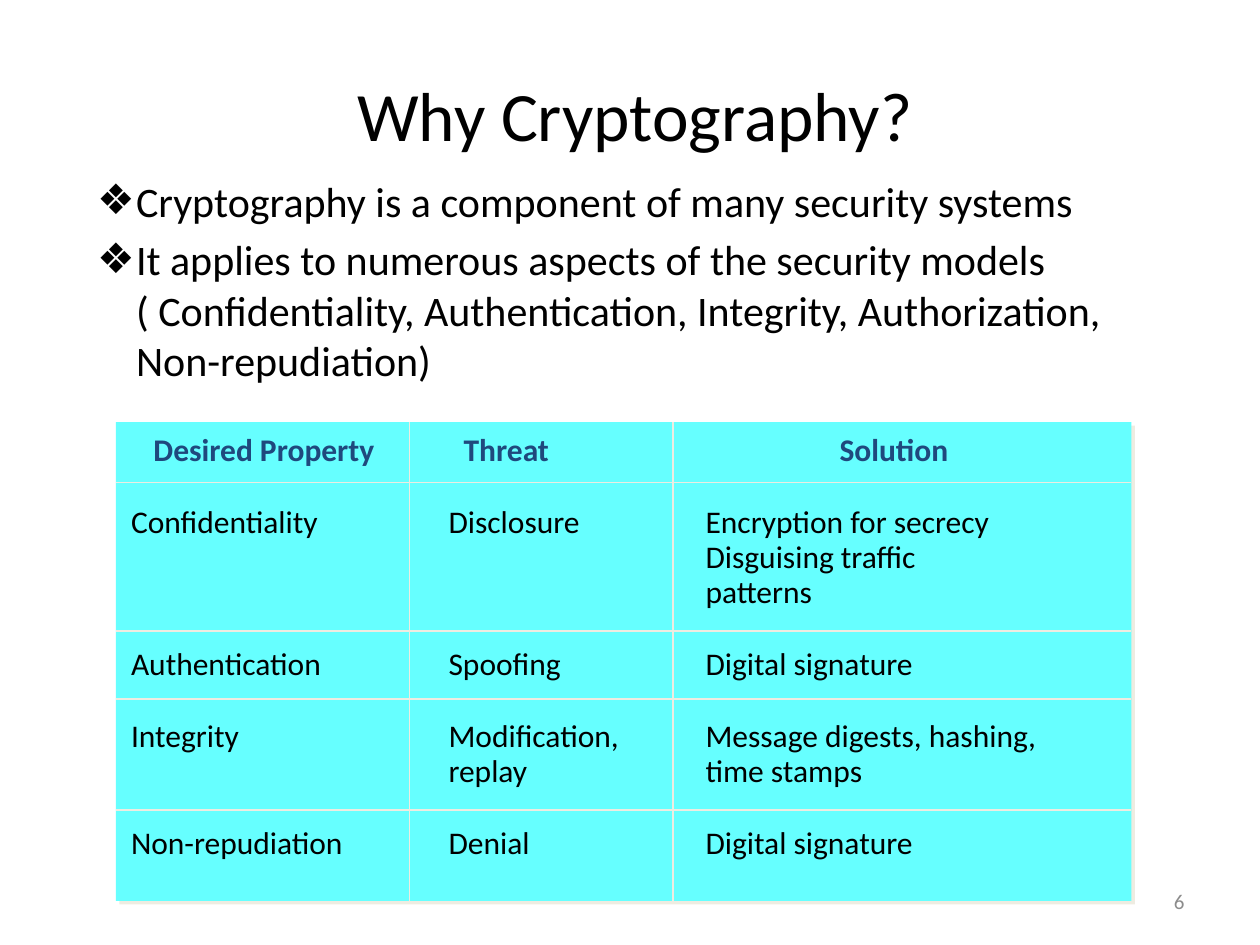
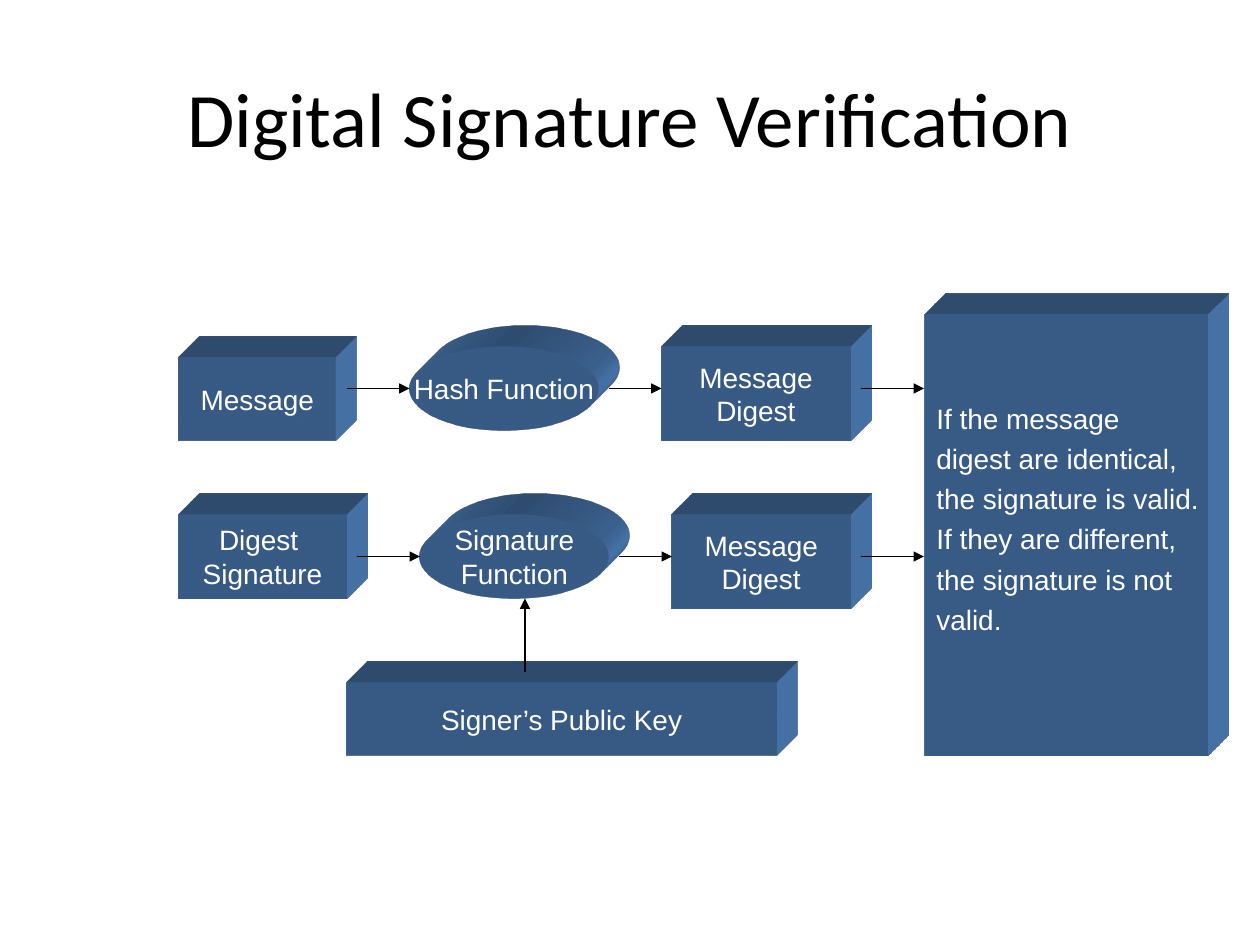
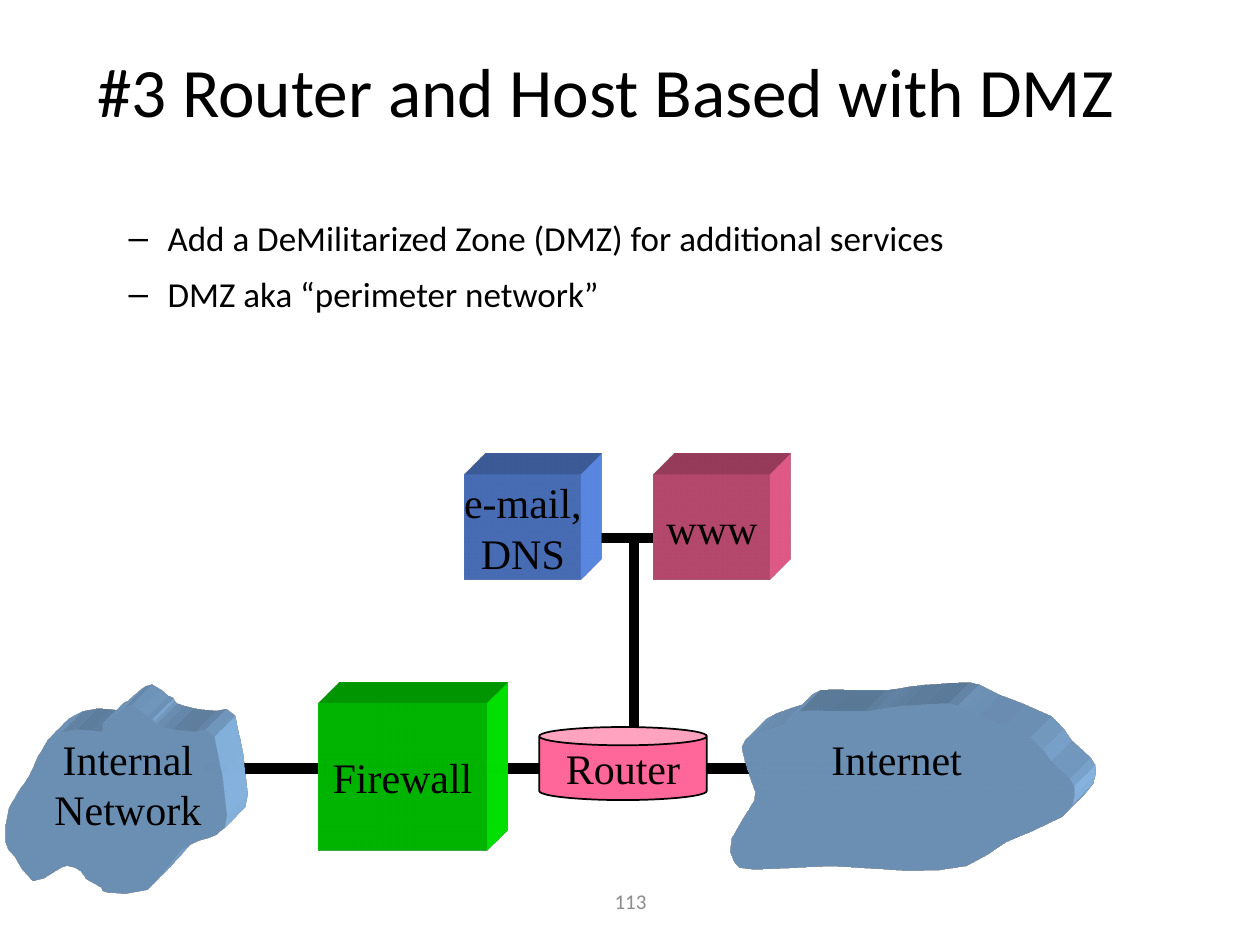
from lxml import etree
from pptx import Presentation
from pptx.dml.color import RGBColor
from pptx.enum.shapes import MSO_CONNECTOR, MSO_SHAPE
from pptx.enum.text import MSO_ANCHOR, MSO_AUTO_SIZE, PP_ALIGN
from pptx.oxml import parse_xml
from pptx.oxml.ns import nsdecls, qn
from pptx.util import Inches, Pt

COLORS = {
    "text": "000000", "number": "8C8C8C", "white": "FFFFFF",
    "table": "66FFFF", "rule": "EEECE1", "heading": "1F497D",
    "step": "4F81BD", "cloud": "99CCFF", "firewall": "00FF00",
    "pink": "FF6699", "mail": "6699FF",
}
HEADING = {"name": "Calibri", "size": Pt(39.6), "color": "text"}
CELL = {"name": "Calibri", "size": Pt(18), "color": "text"}
CELL_HEAD = {**CELL, "color": "heading", "bold": True}
NUMBER = {"name": "Calibri", "size": Pt(12), "color": "number"}
STEP = {"name": "Arial", "size": Pt(16), "color": "white"}
NODE = {"name": "Times New Roman", "size": Pt(24), "color": "text"}
CENTER = {"alignment": PP_ALIGN.CENTER}
LEFT = {"alignment": PP_ALIGN.LEFT}


def rgb(color):
    return RGBColor.from_string(COLORS[color])


def apply(target, formats):
    for attribute, value in formats.items():
        setattr(target, attribute, value)


def write(frame, text, font, paragraph_format=CENTER, **frame_format):
    """Fill a text frame: newlines part paragraphs, vertical tabs part lines."""
    frame.text = text
    apply(frame, frame_format)
    for paragraph in frame.paragraphs:
        apply(paragraph, paragraph_format)
        for run in paragraph.runs:
            apply(run.font, {k: v for k, v in font.items() if k != "color"})
            run.font.color.rgb = rgb(font["color"])


def place(shape, box):
    apply(shape, dict(zip(("left", "top", "width", "height"), map(Inches, box))))


def add_title(slide, text, box, font=HEADING, paragraph_format=CENTER):
    place(slide.shapes.title, box)
    write(slide.shapes.title.text_frame, text, font, paragraph_format,
          auto_size=MSO_AUTO_SIZE.NONE, vertical_anchor=MSO_ANCHOR.MIDDLE)


def add_bullets(slide, text, box, bullet, size, after=0):
    body = slide.placeholders[1]
    place(body, box)
    frame = body.text_frame
    write(frame, text, {"name": "Calibri", "size": Pt(size), "color": "text"},
          {"level": 1, "space_after": Pt(after), "space_before": Pt(size * 0.2)},
          auto_size=MSO_AUTO_SIZE.NONE, vertical_anchor=MSO_ANCHOR.TOP)
    frame.paragraphs[0].space_before = Pt(0)
    for paragraph in frame.paragraphs:
        properties = paragraph._p.get_or_add_pPr()
        properties.set("marL", str(Inches(0.81)))
        properties.set("indent", str(Inches(-0.31)))
        etree.SubElement(properties, qn("a:buChar")).set("char", bullet)


def add_label(slide, text, box, font=NODE, paragraph_format=CENTER, **frame_format):
    label = slide.shapes.add_textbox(*map(Inches, box))
    write(label.text_frame, text, font, paragraph_format, **frame_format)


def add_number(slide, text, box, alignment):
    add_label(slide, text, box, NUMBER, {"alignment": alignment},
              word_wrap=True, vertical_anchor=MSO_ANCHOR.MIDDLE)


def paint(shape, color):
    shape.shadow.inherit = False
    shape.fill.solid()
    shape.fill.fore_color.rgb = rgb(color)
    shape.line.fill.background()


def extrude(shape, color):
    """Give a shape depth towards the top right."""
    ns = nsdecls("a")
    scene = (f'<a:scene3d {ns}><a:camera prst="legacyObliqueTopRight"/>'
             '<a:lightRig rig="legacyFlat3" dir="b"/></a:scene3d>')
    solid = (f'<a:sp3d {ns} extrusionH="430200" prstMaterial="legacyMatte">'
             '<a:bevelT w="13500" h="13500" prst="angle"/>'
             '<a:bevelB w="13500" h="13500" prst="angle"/>'
             f'<a:extrusionClr><a:srgbClr val="{COLORS[color]}"/></a:extrusionClr>'
             '</a:sp3d>')
    for part in (scene, solid):
        shape._element.spPr.append(parse_xml(part))


def add_node(slide, text, box, color, font=NODE, kind=MSO_SHAPE.RECTANGLE,
             paragraph_format=CENTER, deep=True):
    node = slide.shapes.add_shape(kind, *map(Inches, box))
    paint(node, color)
    if deep:
        extrude(node, color)
    write(node.text_frame, text, font, paragraph_format,
          word_wrap=False, vertical_anchor=MSO_ANCHOR.MIDDLE)
    return node


def add_line(slide, start, end, width, color="text", arrow=False):
    line = slide.shapes.add_connector(
        MSO_CONNECTOR.STRAIGHT, *map(Inches, (*start, *end)))
    line.line.color.rgb = rgb(color)
    line.line.width = Pt(width)
    etree.SubElement(line._element.spPr, qn("a:effectLst"))
    if arrow:
        tail = etree.SubElement(line.line._get_or_add_ln(), qn("a:tailEnd"))
        tail.set("type", "triangle")


# Slide with the table of security properties

PROPERTIES = [
    ("Desired Property", "Threat", "Solution"),
    ("Confidentiality", "Disclosure",
     "Encryption for secrecy\nDisguising traffic\vpatterns"),
    ("Authentication", "Spoofing", "Digital signature"),
    ("Integrity", "Modification,\vreplay",
     "Message digests, hashing,\vtime stamps"),
    ("Non-repudiation", "Denial", "Digital signature"),
]
COLUMN_WIDTHS = (2.33, 2.09, 3.64)
ROW_HEIGHTS = (0.48, 1.18, 0.54, 0.88, 0.72)
ROW_INSETS = (0.1, 0.19, 0.14, 0.17, 0.14)
HEAD_INSETS = (0.02, 0.43, 0)
BODY_INSETS = (0.12, 0.31, 0.26)


def add_table_panel(slide, box):
    """Panel behind the table, with a soft edge at the lower right."""
    panel = slide.shapes.add_shape(MSO_SHAPE.RECTANGLE, *map(Inches, box))
    paint(panel, "table")
    effects = panel._element.spPr.find(qn("a:effectLst"))
    effects.append(parse_xml(
        f'<a:outerShdw {nsdecls("a")} dist="{Pt(2.8)}" dir="2700000" algn="ctr" '
        f'rotWithShape="0"><a:srgbClr val="{COLORS["rule"]}"/></a:outerShdw>'))


def add_rules(slide, left, top, width, height):
    x, y = left, top
    for column_width in COLUMN_WIDTHS[:-1]:
        x += column_width
        add_line(slide, (x, top), (x, top + height), 1, "rule")
    for row_height in ROW_HEIGHTS[:-1]:
        y += row_height
        add_line(slide, (left, y), (left + width, y), 1, "rule")


def add_properties_table(slide, left, top):
    box = (left, top, sum(COLUMN_WIDTHS), sum(ROW_HEIGHTS))
    add_table_panel(slide, box)
    last_column = len(COLUMN_WIDTHS) - 1
    table = slide.shapes.add_table(
        len(ROW_HEIGHTS), len(COLUMN_WIDTHS), *map(Inches, box)).table
    apply(table, {"first_row": False, "horz_banding": False})
    for column, width in zip(table.columns, COLUMN_WIDTHS):
        column.width = Inches(width)
    for r, words in enumerate(PROPERTIES):
        table.rows[r].height = Inches(ROW_HEIGHTS[r])
        for c, text in enumerate(words):
            cell = table.cell(r, c)
            head = r == 0
            apply(cell, {
                "margin_left": Inches((HEAD_INSETS if head else BODY_INSETS)[c]),
                "margin_top": Inches(ROW_INSETS[r]),
                "margin_right": Inches(0.13 if head and c == last_column else 0),
                "margin_bottom": 0,
                "vertical_anchor": MSO_ANCHOR.TOP,
            })
            alignment = CENTER if head and c != 1 else LEFT
            write(cell.text_frame, text, CELL_HEAD if head else CELL,
                  {**alignment, "line_spacing": Pt(20)})
            for side in "LRTB":
                border = etree.SubElement(
                    cell._tc.get_or_add_tcPr(), qn(f"a:ln{side}"))
                etree.SubElement(border, qn("a:noFill"))
            cell.fill.solid()
            cell.fill.fore_color.rgb = rgb("table")
    add_rules(slide, *box)


def build_why_cryptography(deck):
    slide = deck.slides.add_slide(deck.slide_layouts[1])
    add_title(slide, "Why Cryptography?", (0.58, 0.59, 8.92, 0.62))
    add_bullets(slide, "Cryptography is a component of many security systems\n"
                "It applies to numerous aspects of the security models\v"
                "( Confidentiality, Authentication, Integrity, Authorization, "
                "Non-repudiation)", (0.17, 1.34, 9.25, 1.75), "❖", 24)
    add_properties_table(slide, 0.92, 3.35)
    add_number(slide, "6", (7.17, 6.95, 2.33, 0.4), PP_ALIGN.RIGHT)


# Slide with the verification flow

FLOW_UNIT = 1 / 12  # the flow lies on a grid of twelfths of an inch


def add_verification_flow(slide, left, top):
    def at(x, y):
        return left + x * FLOW_UNIT, top + y * FLOW_UNIT

    def box(x, y, width, height):
        return *at(x, y), width * FLOW_UNIT, height * FLOW_UNIT

    rect, oval = MSO_SHAPE.RECTANGLE, MSO_SHAPE.OVAL
    steps = [
        ("Message", rect, (0, 4, 15, 8)),
        ("Hash Function", oval, (22, 3, 18, 8)),
        ("Message\nDigest", rect, (46, 3, 18, 9)),
        ("Digest \nSignature", rect, (0, 19, 16, 8)),
        ("Signature\nFunction", oval, (23, 19, 18, 8)),
        ("Message\nDigest", rect, (47, 19, 17, 9)),
        ("Signer’s Public Key", rect, (16, 35, 41, 7)),
    ]
    for text, kind, cells in steps:
        add_node(slide, text, box(*cells), "step", STEP, kind)

    # Verdict
    verdict = add_node(
        slide, "If the message\ndigest are identical,\nthe signature is valid.\n"
        "If they are different,\nthe signature is not\nvalid.",
        box(71, 0, 27, 42), "step", STEP,
        paragraph_format={**LEFT, "line_spacing": 1.2})
    verdict.text_frame.margin_bottom = Inches(0.37)

    # Arrows: a height, then the start and end of each arrow at that height
    rows = {7: [(16, 22), (41, 46), (65, 71)],
            23: [(17, 23), (42, 47), (65, 71)]}
    for y, spans in rows.items():
        for start, end in spans:
            add_line(slide, at(start, y), at(end, y), 0.75, arrow=True)
    add_line(slide, at(33, 34), at(33, 27), 0.75, arrow=True)


def build_signature_verification(deck):
    slide = deck.slides.add_slide(deck.slide_layouts[5])
    add_title(slide, "Digital Signature Verification", (0.5, 0.3, 9, 1.25),
              {**HEADING, "size": Pt(44)})
    add_verification_flow(slide, 17 * FLOW_UNIT, 2.5)


# Slide with the network

# Cloud outlines, in hundredths of an inch from the corner of each cloud
INTERNET = [
    (108, 6), (81, 6), (56, 6), (46, 13), (43, 17), (20, 25), (10, 35), (18, 63),
    (20, 77), (2, 107), (4, 126), (20, 132), (81, 129), (142, 133), (188, 129),
    (220, 110), (264, 90), (274, 72), (270, 60), (255, 46), (239, 27), (198, 10),
    (186, 4), (174, 0), (138, 2), (123, 4),
]
INTERNAL = [
    (81, 21), (61, 19), (38, 27), (23, 56), (7, 81), (4, 108), (11, 119),
    (26, 139), (44, 131), (53, 127), (64, 131), (68, 137), (80, 144), (85, 148),
    (117, 146), (144, 114), (168, 104), (174, 100), (180, 87), (170, 25),
    (155, 21), (137, 19), (124, 15), (121, 11), (117, 9), (104, 0), (94, 5),
    (85, 13), (81, 15),
]


def round_outline(points):
    """Add the midpoint of a Catmull-Rom spline after each point."""
    outline = []
    for i, point in enumerate(points):
        corners = [points[(i + shift) % len(points)] for shift in (-1, 0, 1, 2)]
        middle = [(9 * (b + c) - a - d) / 16 for a, b, c, d in zip(*corners)]
        outline += [point, middle]
    return outline


def add_cloud(slide, outline, left, top):
    points = [(10 * x + 1000 * left, 10 * y + 1000 * top)
              for x, y in round_outline(outline)]
    builder = slide.shapes.build_freeform(*points[0], scale=Inches(1) / 1000)
    builder.add_line_segments(points[1:], close=True)
    cloud = builder.convert_to_shape()
    paint(cloud, "cloud")
    extrude(cloud, "cloud")


def add_network(slide, left, top):
    # Cables
    for start, end in [((4.75, 0.5), (5.58, 0.5)),
                       ((5.03, 2.08), (5.03, 0.5)),
                       ((1.61, 2.33), (7.19, 2.33))]:
        add_line(slide, (left + start[0], top + start[1]),
                 (left + end[0], top + end[1]), 6)

    # Clouds and hosts
    add_cloud(slide, INTERNET, left + 5.79, top + 1.81)
    add_cloud(slide, INTERNAL, left, top + 1.83)
    for text, color, (x, y, width, height) in [
            ("Firewall", "firewall", (2.53, 1.81, 1.33, 1.17)),
            ("e-mail,\nDNS", "mail", (3.69, 0, 0.92, 0.83)),
            ("www", "pink", (5.19, 0, 0.92, 0.83))]:
        add_node(slide, text, (left + x, top + y, width, height), color)
    router = add_node(slide, "Router", (left + 4.28, top + 2, 1.33, 0.58), "pink",
                      kind=MSO_SHAPE.CAN, deep=False)
    router.line.color.rgb = rgb("text")
    router.line.width = Pt(1)

    # Cloud names
    add_label(slide, "Internal\nNetwork", (left + 0.33, top + 2, 1.37, 0.9),
              word_wrap=False)
    add_label(slide, "Internet", (left + 6.5, top + 2, 1.24, 0.5),
              paragraph_format=LEFT, word_wrap=False)


def build_dmz(deck):
    slide = deck.slides.add_slide(deck.slide_layouts[1])
    add_title(slide, "#3 Router and Host Based with DMZ", (0.67, 0.33, 8.83, 0.87),
              paragraph_format={**LEFT, "line_spacing": 0.85})
    add_bullets(slide, "Add a DeMilitarized Zone (DMZ) for additional services\n"
                "DMZ aka “perimeter network”", (0.42, 1.67, 8.92, 1.5), "–", 20, 4)
    add_network(slide, 0, 3.77)
    add_number(slide, "113", (3.42, 6.95, 3.17, 0.4), PP_ALIGN.CENTER)


def main():
    deck = Presentation()
    apply(deck, {"slide_width": Inches(10), "slide_height": Inches(7.5)})
    build_why_cryptography(deck)
    build_signature_verification(deck)
    build_dmz(deck)
    deck.save("out.pptx")


if __name__ == "__main__":
    main()
